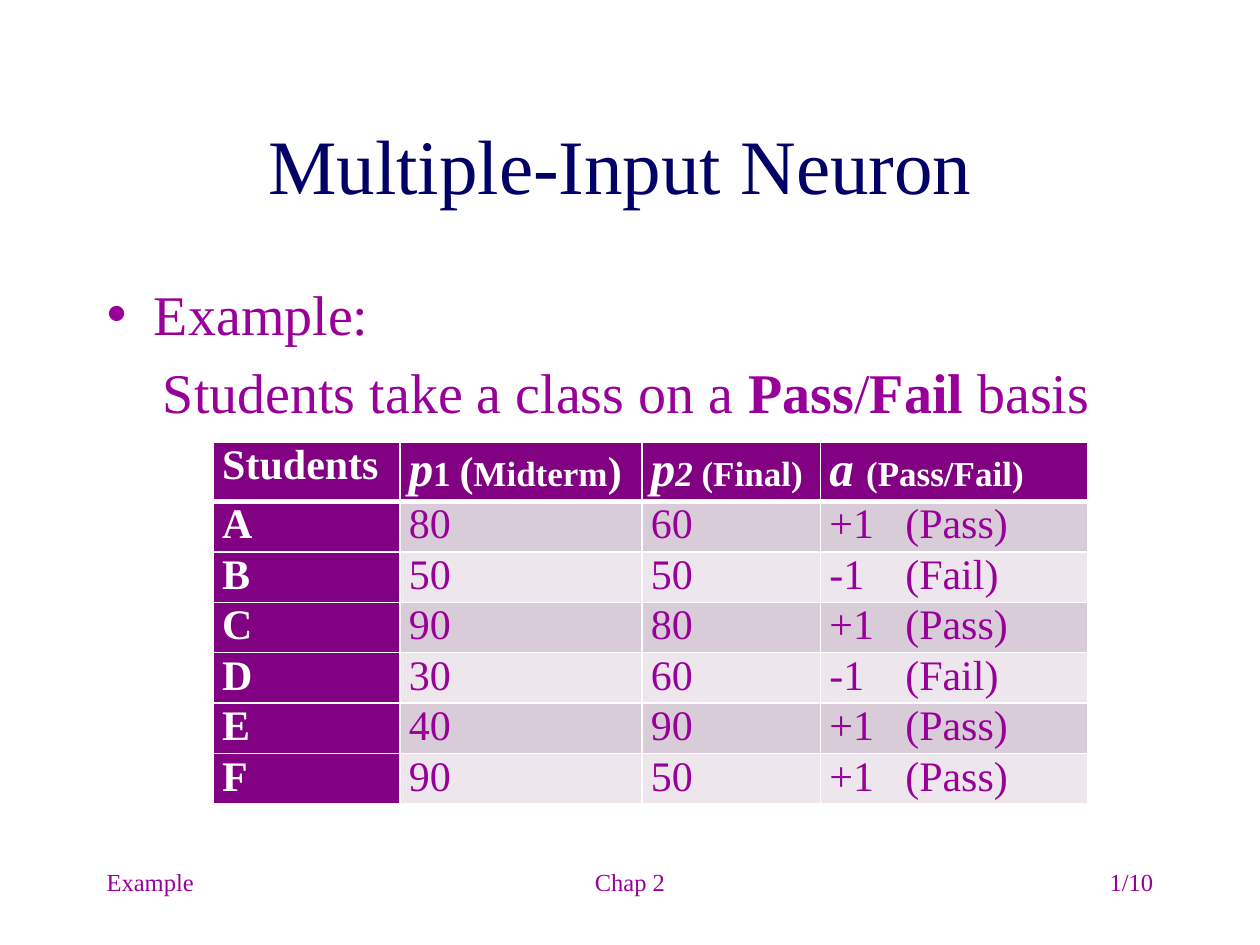
from pptx import Presentation
from pptx.dml.color import RGBColor as RGB
from pptx.enum.text import MSO_ANCHOR as Anchor, PP_ALIGN as Align
from pptx.oxml import parse_xml
from pptx.oxml.ns import nsdecls
from pptx.util import Cm, Pt

NAVY, VIOLET, PURPLE, WHITE = "000066", "990099", "820082", "FFFFFF"
BANDS = ["D8CCD8", "EDE7ED"]


def write(par, text, size=24, color=VIOLET, bold=False, italic=False):
    run = par.add_run()
    run.text = text
    font = run.font
    font.name, font.size = "Times New Roman", Pt(size)
    font.bold, font.italic = bold, italic
    font.color.rgb = RGB.from_string(color)


def place(shape, left, top, width, height):
    shape.left, shape.top = Cm(left), Cm(top)
    shape.width, shape.height = Cm(width), Cm(height)


deck = Presentation()
deck.slide_width, deck.slide_height = Cm(25.4), Cm(19.05)
slide = deck.slides.add_slide(deck.slide_layouts[1])

# Title
title = slide.shapes.title
place(title, 1.9, 1.7, 21.6, 3.18)
title.text_frame.vertical_anchor = Anchor.MIDDLE
head = title.text_frame.paragraphs[0]
head.alignment = Align.CENTER
write(head, "Multiple-Input Neuron ", size=44, color=NAVY)

# Body: a bulleted line and an indented line without a bullet
body = slide.placeholders[1]
place(body, 1.9, 5.5, 21.6, 11.43)
first = body.text_frame.paragraphs[0]
write(first, "Example: ", size=32)
second = body.text_frame.add_paragraph()
for text, bold in [("Students take a class on a\u00a0", False), ("Pass", True),
                   ("/", False), ("Fail", True), ("\u00a0basis", False)]:
    write(second, text, size=32, bold=bold)
for par, left, hang, mark in [(first, 0.95, -0.95, '<a:buChar %s char="\u2022"/>'),
                              (second, 1.13, 0, "<a:buNone %s/>")]:
    par.space_before = Pt(6.4)
    props = par._p.get_or_add_pPr()
    props.set("marL", str(Cm(left)))
    props.set("indent", str(Cm(hang)))
    props.append(parse_xml(mark % nsdecls("a")))

# Footer line
for text, left, width, align in [("Example", 1.9, 5.3, Align.LEFT),
                                 ("Chap 2", 8.68, 8.04, Align.CENTER),
                                 ("1/10", 18.2, 5.3, Align.RIGHT)]:
    box = slide.shapes.add_textbox(Cm(left), Cm(17.36), Cm(width), Cm(1.27))
    box.text_frame.word_wrap = True
    par = box.text_frame.paragraphs[0]
    par.alignment = align
    write(par, text, size=14)

# Table contents: header runs are text, size, italic
heads = [
    [("Students", 24, False)],
    [("p", 28, True), ("1 ", 20, False), ("(", 24, False),
     ("Midterm", 20, False), (")", 24, False)],
    [("p", 28, True), ("2 ", 20, True), ("(Final)", 20, False)],
    [("a ", 28, True), ("(Pass/Fail)", 20, False)],
]
won, lost = "+1\t(Pass)", "-1\t(Fail)"
marks = [("A", "80", "60", won), ("B", "50", "50", lost), ("C", "90", "80", won),
         ("D", "30", "60", lost), ("E", "40", "90", won), ("F", "90", "50", won)]

# Table grid
frame = slide.shapes.add_table(7, 4, Cm(4.3), Cm(8.92), Cm(17.63), Cm(6.7))
table = frame.table
for col, width in zip(table.columns, [3.76, 4.88, 3.6, 5.39]):
    col.width = Cm(width)
for r, row in enumerate(table.rows):
    row.height = Cm(0.93 if r else 1.08)
    for c, cell in enumerate(row.cells):
        cell.margin_left = cell.margin_right = Cm(0.18)
        cell.margin_top = cell.margin_bottom = 0
        par = cell.text_frame.paragraphs[0]
        dark = r == 0 or c == 0
        if r == 0:
            for text, size, italic in heads[c]:
                write(par, text, size=size, color=WHITE, bold=True, italic=italic)
        else:
            write(par, marks[r - 1][c], color=WHITE if dark else VIOLET, bold=dark)
        if r and c == 3:
            par._p.get_or_add_pPr().append(parse_xml(
                f'<a:tabLst {nsdecls("a")}><a:tab pos="{Cm(1.53)}" algn="l"/></a:tabLst>'))

        # White borders, thicker under the header
        thick = {"B": r == 0, "T": r == 1}
        for side in "LRTB":
            width = Pt(3 if thick.get(side) else 1)
            cell._tc.get_or_add_tcPr().append(parse_xml(
                f'<a:ln{side} {nsdecls("a")} w="{width}"><a:solidFill>'
                f'<a:srgbClr val="{WHITE}"/></a:solidFill></a:ln{side}>'))
        cell.fill.solid()
        cell.fill.fore_color.rgb = RGB.from_string(PURPLE if dark else BANDS[(r - 1) % 2])

deck.save("out.pptx")
